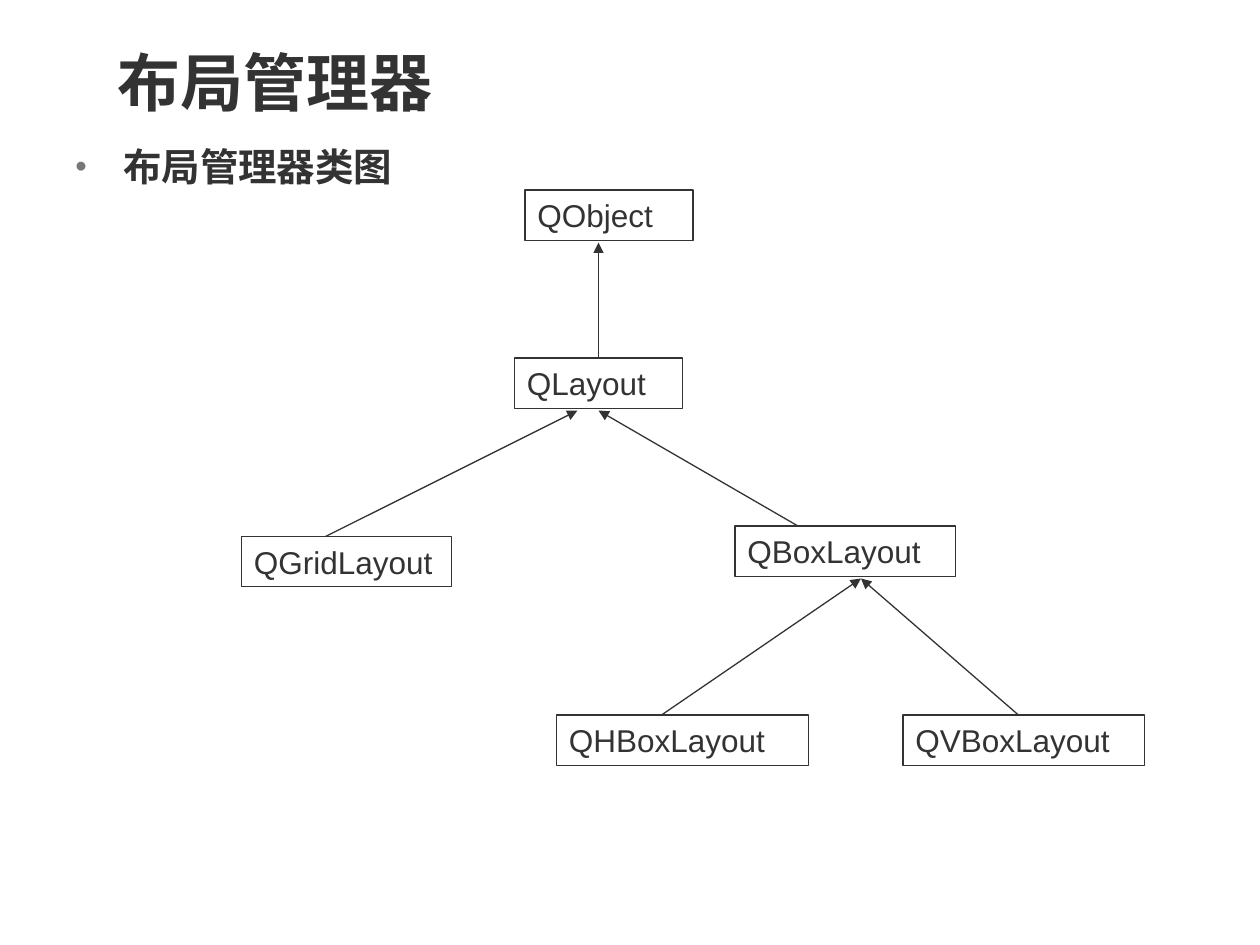
import pptx
import pptx.dml.color
import pptx.enum.shapes
import pptx.enum.text
import pptx.oxml
import pptx.oxml.ns
import pptx.util

DARK = pptx.dml.color.RGBColor(0x33, 0x33, 0x33)
GRAY = pptx.dml.color.RGBColor(0x77, 0x77, 0x77)
WIDE, HIGH = 10, 7.5
COLS, ROWS = 120, 90
BOX_ROWS = 4.8   # height of a class box
TIP_ROWS = 5     # from the top of a parent to the arrow tip


def make(text):
    """Make a drawing element from XML."""
    return pptx.oxml.parse_xml(
        text.replace("/>", " " + pptx.oxml.ns.nsdecls("a") + "/>"))


class Diagram:
    """Style and current slide; lengths are grid columns and rows."""

    fonts = {
        "title": {"size": pptx.util.Pt(36), "bold": True},
        "point": {"size": pptx.util.Pt(22), "bold": True},
        "class": {"size": pptx.util.Pt(18), "bold": False},
    }

    def __init__(self, deck):
        self.slide = deck.slides.add_slide(deck.slide_layouts[6])
        self.unit_x = deck.slide_width / COLS
        self.unit_y = deck.slide_height / ROWS

    def place(self, col, row):
        return round(col * self.unit_x), round(row * self.unit_y)

    def letter(self, shape, text, kind, anchor):
        frame = shape.text_frame
        frame.word_wrap = True
        frame.vertical_anchor = anchor
        para = frame.paragraphs[0]
        para.text = text
        para.alignment = pptx.enum.text.PP_ALIGN.LEFT
        font = para.runs[0].font
        for key, value in {"name": "Arial", **self.fonts[kind]}.items():
            setattr(font, key, value)
        font.color.rgb = DARK
        return para

    def label(self, text, kind, area, anchor):
        shape = self.slide.shapes.add_textbox(
            *self.place(*area[:2]), *self.place(*area[2:]))
        return self.letter(shape, text, kind, anchor)

    def title(self, text, area):
        self.label(text, "title", area, pptx.enum.text.MSO_ANCHOR.MIDDLE)

    def point(self, text, area):
        para = self.label(text, "point", area, pptx.enum.text.MSO_ANCHOR.TOP)
        props = para._p.get_or_add_pPr()
        indent = pptx.util.Inches(0.38)
        props.set("marL", str(indent))
        props.set("indent", str(-indent))
        color = make("<a:buClr/>")
        color.append(make(f'<a:srgbClr val="{GRAY}"/>'))
        props.append(color)
        for item in ('<a:buSzPct val="85000"/>', '<a:buFont typeface="Arial"/>',
                     '<a:buChar char="•"/>'):
            props.append(make(item))

    def box(self, name, col, row, cols):
        shape = self.slide.shapes.add_shape(
            pptx.enum.shapes.MSO_SHAPE.RECTANGLE,
            *self.place(col, row), *self.place(cols, BOX_ROWS))
        shape.shadow.inherit = False
        shape.fill.background()
        self.stroke(shape)
        self.letter(shape, name, "class", pptx.enum.text.MSO_ANCHOR.TOP)

    def stroke(self, shape):
        shape.line.color.rgb = DARK
        shape.line.width = pptx.util.Pt(0.75)

    def arrow(self, start, end):
        line = self.slide.shapes.add_connector(
            pptx.enum.shapes.MSO_CONNECTOR.STRAIGHT,
            *self.place(*start), *self.place(*end))
        self.stroke(line)
        line.line._get_or_add_ln().append(make('<a:tailEnd type="triangle"/>'))
        line._element.spPr.append(make("<a:effectLst/>"))


def main():
    deck = pptx.Presentation()
    deck.slide_width = pptx.util.Inches(WIDE)
    deck.slide_height = pptx.util.Inches(HIGH)
    page = Diagram(deck)

    # Heading and bullet
    page.title("布局管理器", (10, 3, 104, 9.4))
    page.point("布局管理器类图", (6, 13, 108, 66))

    # Classes: column, row, width
    tree = {
        "QObject": (50, 18.1, 16),
        "QGridLayout": (23, 51.1, 20),
        "QVBoxLayout": (86, 68.1, 23),
        "QBoxLayout": (70, 50.1, 21),
        "QHBoxLayout": (53, 68.1, 24),
        "QLayout": (49, 34.1, 16),
    }
    for name, area in tree.items():
        page.box(name, *area)

    # Inheritance: child, its column, parent, its column
    for child, start, parent, end in (
        ("QLayout", 57, "QObject", 57),
        ("QGridLayout", 31, "QLayout", 55),
        ("QBoxLayout", 76, "QLayout", 57),
        ("QHBoxLayout", 63, "QBoxLayout", 82),
        ("QVBoxLayout", 97, "QBoxLayout", 82),
    ):
        page.arrow((start, tree[child][1]), (end, tree[parent][1] + TIP_ROWS))

    deck.save("out.pptx")


if __name__ == "__main__":
    main()
